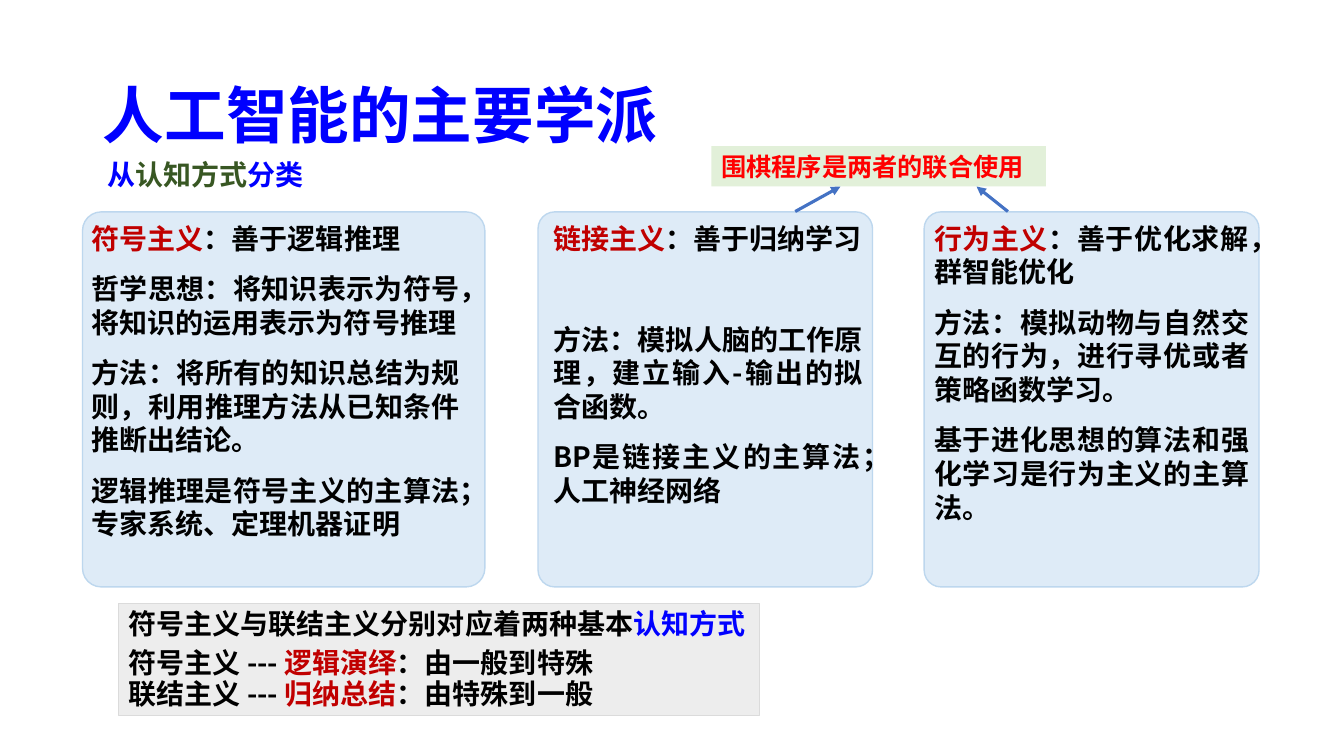
from lxml import etree
from pptx import Presentation
from pptx import util as u
from pptx.dml.color import RGBColor
from pptx.enum import shapes, text
from pptx.oxml.ns import qn

FONT = "Noto Sans CJK SC"
BLUE, RED, BLACK, GREEN = "0000FF", "C00000", "000000", "385723"


def rgb(value):
    return RGBColor.from_string(value)


def write(box, paragraphs, size=20, leading=24, align=text.PP_ALIGN.JUSTIFY):
    """Fill a box from (space before, [(words, colour), ...]) paragraphs."""
    frame = box.text_frame
    frame.word_wrap = True
    frame.auto_size = text.MSO_AUTO_SIZE.NONE
    for number, (space, spans) in enumerate(paragraphs):
        para = frame.add_paragraph() if number else frame.paragraphs[0]
        para.alignment = align
        para.space_before = u.Pt(space)
        if leading:
            para.line_spacing = u.Pt(leading)
        for words, colour in spans:
            span = para.add_run()
            span.text = words
            font = span.font
            font.size, font.bold, font.name = u.Pt(size), True, FONT
            font.color.rgb = rgb(colour)
            east_asian = etree.SubElement(font._element, qn("a:ea"))
            east_asian.set("typeface", FONT)


deck = Presentation()
deck.slide_width, deck.slide_height = u.Cm(33.87), u.Cm(19.05)
page = deck.slides.add_slide(deck.slide_layouts[5])

# Title and subtitle
title = page.shapes.title
title.left, title.top = u.Cm(2.34), u.Cm(1.02)
title.width, title.height = u.Cm(30.23), u.Cm(3.68)
title.text_frame.vertical_anchor = text.MSO_ANCHOR.MIDDLE
write(title, [(0, [("人工智能的主要学派", BLUE)])], size=44, leading=None)

subtitle = page.shapes.add_textbox(u.Cm(2.46), u.Cm(3.84), u.Cm(16.94), u.Cm(1.12))
write(subtitle, [(0, [("从", BLUE), ("认知方式", GREEN), ("分类", BLUE)])],
      align=text.PP_ALIGN.LEFT)

# Three schools: card left and width, text left and width, heading, body paragraphs
schools = [
    (2.08, 10.14, 2.06, 9.78, "符号主义", "：善于逻辑推理", [
        (12, "哲学思想：将知识表示为符号，将知识的运用表示为符号推理"),
        (12, "方法：将所有的知识总结为规则，利用推理方法从已知条件推断出结论。"),
        (12, "逻辑推理是符号主义的主算法；专家系统、定理机器证明")]),
    (13.56, 8.43, 13.69, 8.31, "链接主义", "：善于归纳学习", [
        (48, "方法：模拟人脑的工作原理，建立输入-输出的拟合函数。"),
        (12, "BP是链接主义的主算法；人工神经网络")]),
    (23.29, 8.44, 23.29, 8.44, "行为主义", "：善于优化求解，群智能优化", [
        (12, "方法：模拟动物与自然交互的行为，进行寻优或者策略函数学习。"),
        (12, "基于进化思想的算法和强化学习是行为主义的主算法。")]),
]
for card_left, card_width, left, width, school, strength, body in schools:
    card = page.shapes.add_shape(shapes.MSO_SHAPE.ROUNDED_RECTANGLE, u.Cm(card_left),
                                 u.Cm(5.34), u.Cm(card_width), u.Cm(9.45))
    card.adjustments[0] = 0.05
    card.shadow.inherit = False
    card.fill.solid()
    card.fill.fore_color.rgb = rgb("DEEBF7")
    card.line.color.rgb = rgb("BDD7EE")
    card.line.width = u.Pt(1)
    box = page.shapes.add_textbox(u.Cm(left), u.Cm(5.45), u.Cm(width), u.Cm(9.2))
    write(box, [(0, [(school, RED), (strength, BLACK)])]
          + [(space, [(words, BLACK)]) for space, words in body])

# Callout and summary panels
panels = [
    (17.93, 3.68, 8.43, 1.02, "E2F0D9", None, 18, 21.6,
     [(0, [("围棋程序是两者的联合使用", "FF0000")])]),
    (2.99, 15.21, 16.15, 2.82, "EDEDED", "DBDBDB", 20, 22, [
        (0, [("符号主义与联结主义分别对应着两种基本", BLACK), ("认知方式", BLUE)]),
        (6, [("符号主义 --- ", BLACK), ("逻辑演绎", RED), ("：由一般到特殊", BLACK)]),
        (0, [("联结主义 --- ", BLACK), ("归纳总结", RED), ("：由特殊到一般", BLACK)])]),
]
for left, top, width, height, fill, outline, size, leading, paragraphs in panels:
    panel = page.shapes.add_shape(shapes.MSO_SHAPE.RECTANGLE, u.Cm(left), u.Cm(top),
                                  u.Cm(width), u.Cm(height))
    panel.shadow.inherit = False
    panel.fill.solid()
    panel.fill.fore_color.rgb = rgb(fill)
    if outline:
        panel.line.color.rgb = rgb(outline)
        panel.line.width = u.Pt(0.75)
    else:
        panel.line.fill.background()
    write(panel, paragraphs, size, leading)

# Arrows from the two combined schools to the callout
for start_x, end_x in [(25.4, 24.61), (20.04, 21.18)]:
    arrow = page.shapes.add_connector(shapes.MSO_CONNECTOR.STRAIGHT, u.Cm(start_x),
                                      u.Cm(5.33), u.Cm(end_x), u.Cm(4.7))
    arrow.line.color.rgb = rgb("4472C4")
    arrow.line.width = u.Pt(2.25)
    etree.SubElement(arrow.line._get_or_add_ln(), qn("a:tailEnd")).set("type", "triangle")
    etree.SubElement(arrow._element.spPr, qn("a:effectLst"))

deck.save("out.pptx")
